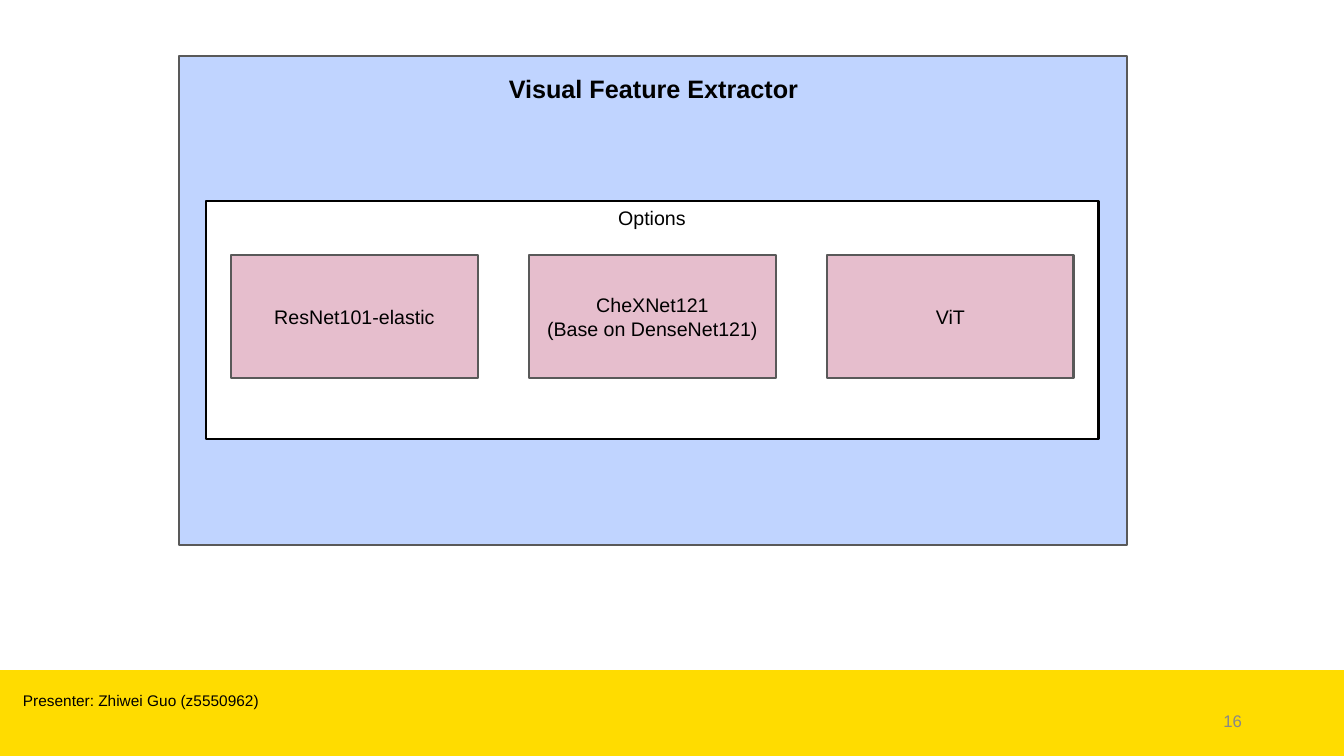
import pptx
import pptx.util
import pptx.dml.color
import pptx.enum.shapes
import pptx.enum.text
from lxml import etree

RGBColor = pptx.dml.color.RGBColor
ALIGN = pptx.enum.text.PP_ALIGN
ANCHOR = pptx.enum.text.MSO_ANCHOR

EMU_PER_PX = 914400 / 100.8
SLIDE_WIDTH, SLIDE_HEIGHT = 1344, 756
FONT = "Arial"

BLACK = RGBColor(0x00, 0x00, 0x00)
WHITE = RGBColor(0xFF, 0xFF, 0xFF)
GREY = RGBColor(0x59, 0x59, 0x59)
NUMBER_GREY = RGBColor(0x88, 0x88, 0x88)
YELLOW = RGBColor(0xFF, 0xDC, 0x00)
BLUE = RGBColor(0xC0, 0xD4, 0xFF)
PINK = RGBColor(0xCF, 0x7F, 0x9D)

# Each option is a list of text lines
OPTIONS = [
    ["ResNet101-elastic"],
    ["CheXNet121", "(Base on DenseNet121)"],
    ["ViT"],
]
OPTION_LEFT, OPTION_TOP, OPTION_PITCH = 231, 255, 298
OPTION_WIDTH, OPTION_HEIGHT = 247, 123


def px(length):
    return pptx.util.Emu(round(length * EMU_PER_PX))


def write_text(shape, lines, size, color=BLACK, bold=False,
               align=ALIGN.CENTER, anchor=ANCHOR.TOP):
    frame = shape.text_frame
    frame.word_wrap = True
    frame.vertical_anchor = anchor
    for index, line in enumerate(lines):
        paragraph = frame.add_paragraph() if index else frame.paragraphs[0]
        paragraph.alignment = align
        run = paragraph.add_run()
        run.text = line
        run.font.name = FONT
        run.font.size = pptx.util.Pt(size)
        run.font.bold = bold
        run.font.color.rgb = color


def add_box(slide, left, top, width, height, fill, line=None, opacity=100):
    shape = slide.shapes.add_shape(
        pptx.enum.shapes.MSO_SHAPE.RECTANGLE,
        px(left), px(top), px(width), px(height))
    shape.shadow.inherit = False
    shape.fill.solid()
    shape.fill.fore_color.rgb = fill
    if opacity < 100:
        color = shape.fill._xPr.find(".//" + pptx.oxml.ns.qn("a:srgbClr"))
        alpha = etree.SubElement(color, pptx.oxml.ns.qn("a:alpha"))
        alpha.set("val", str(opacity * 1000))
    if line is None:
        shape.line.fill.background()
    else:
        shape.line.color.rgb = line
        shape.line.width = pptx.util.Pt(2)
    return shape


def add_label(slide, left, top, width, height, text, size, **style):
    label = slide.shapes.add_textbox(px(left), px(top), px(width), px(height))
    write_text(label, [text], size, **style)


def add_option(slide, index, lines):
    box = add_box(slide, OPTION_LEFT + index * OPTION_PITCH, OPTION_TOP,
                  OPTION_WIDTH, OPTION_HEIGHT, PINK, GREY, opacity=50)
    write_text(box, lines, 14, anchor=ANCHOR.MIDDLE)


def main():
    presentation = pptx.Presentation()
    presentation.slide_width = px(SLIDE_WIDTH)
    presentation.slide_height = px(SLIDE_HEIGHT)
    slide = presentation.slides.add_slide(presentation.slide_layouts[6])

    # Footer band
    add_box(slide, 0, 670, SLIDE_WIDTH, 86, YELLOW)
    add_label(slide, 950, 701, 302, 40, "16", 12, color=NUMBER_GREY,
              align=ALIGN.RIGHT, anchor=ANCHOR.MIDDLE)
    add_label(slide, 13, 686, 807, 29, "Presenter: Zhiwei Guo (z5550962)", 11,
              align=ALIGN.LEFT)

    # Extractor panel
    add_box(slide, 179, 56, 948, 489, BLUE, GREY)
    add_label(slide, 471, 68, 365, 65, "Visual Feature Extractor", 18, bold=True)

    # Options panel
    add_box(slide, 206, 201, 893, 238, WHITE, BLACK)
    for index, lines in enumerate(OPTIONS):
        add_option(slide, index, lines)
    add_label(slide, 516, 201, 272, 57, "Options", 14)

    presentation.save("out.pptx")


if __name__ == "__main__":
    main()
